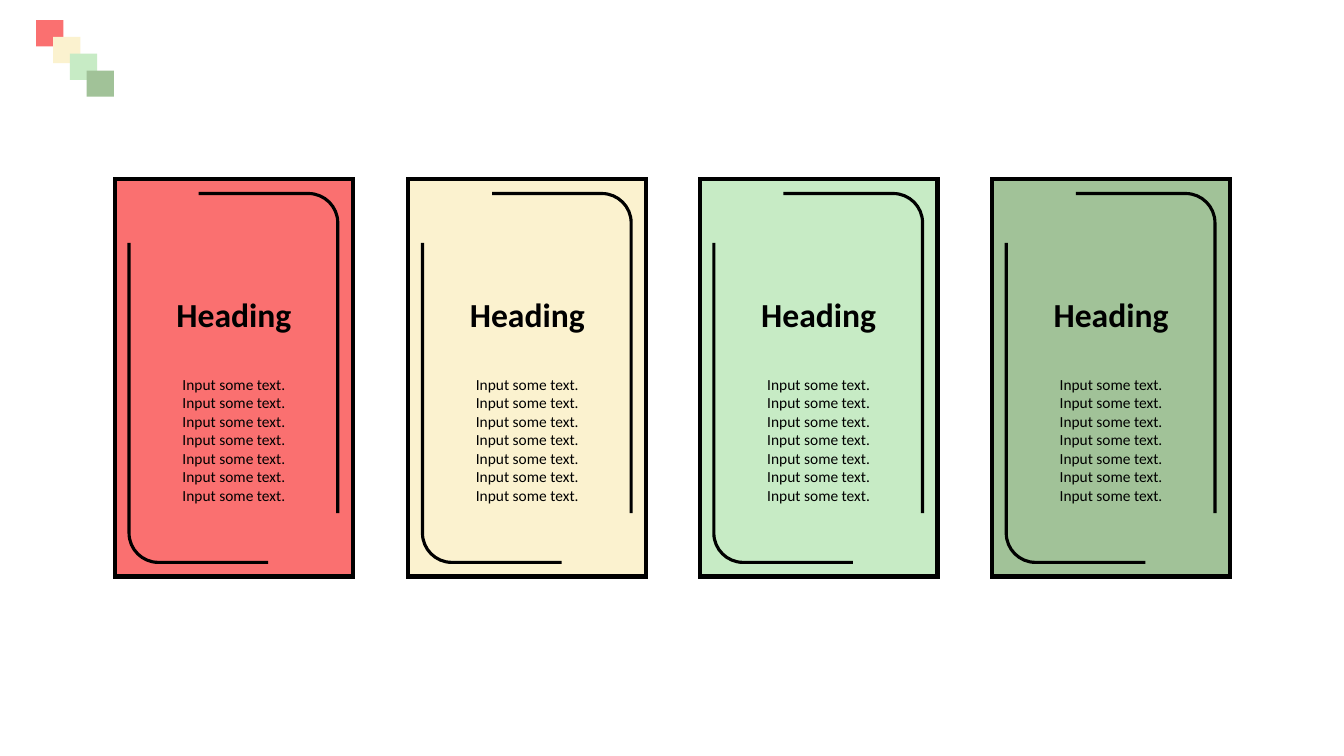
"""Build a slide with four coloured cards, each framed by two rounded brackets."""
from dataclasses import dataclass

from lxml import etree
from pptx import Presentation
from pptx.dml.color import RGBColor
from pptx.enum import shapes, text
from pptx.oxml import ns
from pptx.util import Inches, Pt


@dataclass(frozen=True)
class Theme:
    fills: tuple = ("FA7070", "FBF2CF", "C7EBC5", "A1C298")
    ink: RGBColor = RGBColor(0, 0, 0)
    font: str = "Calibri"
    heading: Pt = Pt(24)
    body: Pt = Pt(11)
    border: Pt = Pt(3)
    bracket: Pt = Pt(2.25)


def add_block(left, top, width, height, fill):
    block = page.shapes.add_shape(
        shapes.MSO_SHAPE.RECTANGLE, Inches(left), Inches(top), Inches(width), Inches(height))
    block.shadow.inherit = False
    block.fill.solid()
    block.fill.fore_color.rgb = RGBColor.from_string(fill)
    block.line.fill.background()
    return block


def set_outline(shape, width):
    shape.line.color.rgb = theme.ink
    shape.line.width = width
    etree.SubElement(shape.line._get_or_add_ln(), ns.qn("a:miter"), lim="800000")


theme = Theme()
deck = Presentation()
deck.slide_width, deck.slide_height = Inches(13.33), Inches(7.5)
page = deck.slides.add_slide(deck.slide_layouts[6])

swatch_step = 0.5 / 3
for index, fill in enumerate(theme.fills):
    add_block(0.36 + swatch_step * index, 0.2 + swatch_step * index, 0.27, 0.26, fill)

card_lefts = (1.14, 4.05, 6.94, 9.84)
card_top, card_width, card_height = 1.78, 2.36, 3.94
radius, inner_right, inner_top = 0.29, 1.03, -1.83
handle = 0.45 * radius
bracket_points = [(-0.35, inner_top), (inner_right - radius, inner_top),
                  (inner_right - handle, inner_top), (inner_right, inner_top + handle),
                  (inner_right, inner_top + radius), (inner_right, 1.34)]
line = "Input some text."
paragraphs = [
    ("Heading", theme.heading, True, Pt(0)),
    (" ".join([line] * 2), theme.body, False, Pt(28.8)),
    (" ".join([line] * 5), theme.body, False, Pt(0)),
]

for left, fill in zip(card_lefts, theme.fills):
    card = add_block(left, card_top, card_width, card_height, fill)
    set_outline(card, theme.border)

    center_x, center_y = left + card_width / 2, card_top + card_height / 2
    for turn, shift in ((1, 0), (-1, -0.01)):
        points = [(Inches(center_x + shift + turn * x), Inches(center_y + turn * y))
                  for x, y in bracket_points]
        start, arc_start, *handles, arc_end, end = points
        builder = page.shapes.build_freeform(*start)
        builder.add_line_segments([arc_start, arc_end, end], close=False)
        bracket = builder.convert_to_shape()
        bracket.shadow.inherit = False
        bracket.fill.background()
        set_outline(bracket, theme.bracket)
        arc = list(bracket._element.iter(ns.qn("a:lnTo")))[1]
        curve = etree.Element(ns.qn("a:cubicBezTo"))
        for x, y in (*handles, arc_end):
            etree.SubElement(curve, ns.qn("a:pt"),
                             x=str(x - bracket.left), y=str(y - bracket.top))
        arc.getparent().replace(arc, curve)

    box = page.shapes.add_textbox(Inches(left + 0.49), Inches(2.87), Inches(1.38), Inches(2.2))
    frame = box.text_frame
    frame.word_wrap = True
    frame.auto_size = text.MSO_AUTO_SIZE.SHAPE_TO_FIT_TEXT
    for number, (words, size, bold, gap) in enumerate(paragraphs):
        para = frame.add_paragraph() if number else frame.paragraphs[0]
        para.text = words
        para.alignment = text.PP_ALIGN.CENTER
        para.space_before = gap
        para.font.name = theme.font
        para.font.size = size
        para.font.bold = bold
        para.font.color.rgb = theme.ink

deck.save("out.pptx")
